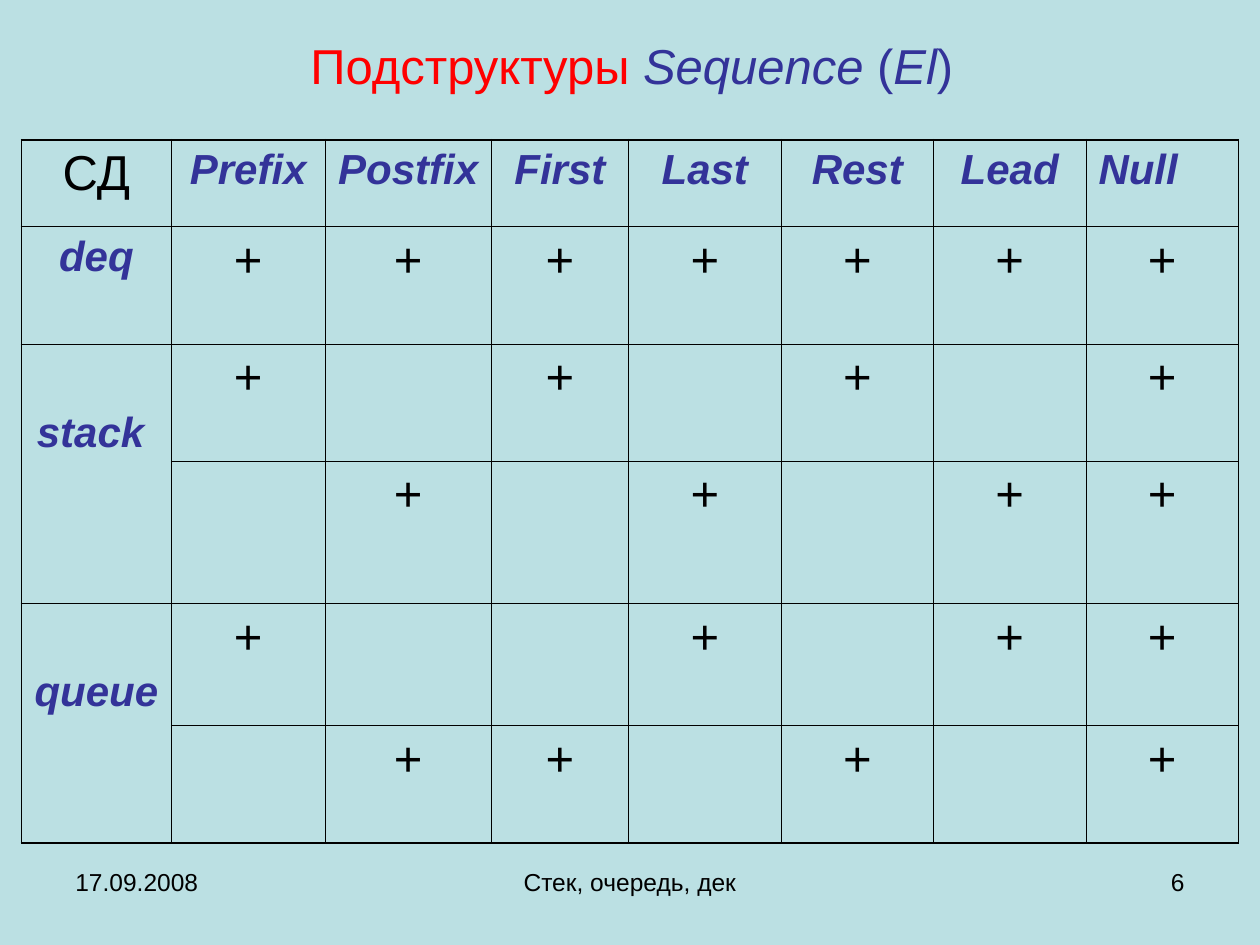
from dataclasses import dataclass

from lxml.etree import SubElement
from pptx import Presentation
from pptx.dml.color import RGBColor
from pptx.enum.text import MSO_ANCHOR, PP_ALIGN
from pptx.oxml.ns import qn
from pptx.util import Inches, Pt


@dataclass(frozen=True)
class Theme:
    font: str = "Arial"
    background: str = "BBE0E3"
    ink: str = "000000"
    accent: str = "333399"
    heading: str = "FF0000"
    large: int = 28
    label: int = 24
    small: int = 14
    outer_line: float = 1.08
    inner_line: float = 0.45


THEME = Theme()

HEADERS = ["СД", "Prefix", "Postfix", "First", "Last", "Rest", "Lead", "Null"]
STRUCTURES = [
    ("deq", ["+++++++"]),
    ("stack ", ["+ + + +", " + + ++"]),
    ("queue", ["+  + ++", " ++ + +"]),
]
COLUMN_WIDTHS = [1.19, 1.22, 1.32, 1.09] + [1.21] * 4
ROW_HEIGHTS = [0.69, 0.93, 0.93, 1.13, 0.97, 0.93]


def add_text(paragraph, text, size=THEME.large, color=THEME.ink, bold=False,
             italic=False, align=PP_ALIGN.CENTER):
    paragraph.alignment = align
    run = paragraph.add_run()
    run.text = text
    run.font.name = THEME.font
    run.font.size = Pt(size)
    run.font.bold = bold
    run.font.italic = italic
    run.font.color.rgb = RGBColor.from_string(color)


def add_label(cell, text, align=PP_ALIGN.CENTER):
    add_text(cell.text_frame.paragraphs[0], text, size=THEME.label,
             color=THEME.accent, bold=True, italic=True, align=align)


def set_borders(cell, outer_sides):
    properties = cell._tc.get_or_add_tcPr()
    for side in "LRTB":
        width = THEME.outer_line if side in outer_sides else THEME.inner_line
        line = SubElement(properties, qn(f"a:ln{side}"), w=str(Pt(width)))
        fill = SubElement(line, qn("a:solidFill"))
        SubElement(fill, qn("a:srgbClr"), val=THEME.ink)


def place_title(slide, left, top, width, height):
    title = slide.shapes.title
    title.left, title.top, title.width, title.height = left, top, width, height
    frame = title.text_frame
    frame.word_wrap = True
    frame.vertical_anchor = MSO_ANCHOR.MIDDLE
    heading = frame.paragraphs[0]
    add_text(heading, "Подструктуры ", color=THEME.heading)
    for text, italic in [("Sequence", True), ("\u00a0(", False), ("El", True), (")", False)]:
        add_text(heading, text, color=THEME.accent, italic=italic)


def format_grid(table):
    last_row, last_column = len(ROW_HEIGHTS) - 1, len(COLUMN_WIDTHS) - 1
    for row in range(last_row + 1):
        for column in range(last_column + 1):
            cell = table.cell(row, column)
            bottom_row = row + cell.span_height - 1
            edges = {"L": column == 0, "R": column == last_column,
                     "T": row == 0, "B": bottom_row == last_row}
            set_borders(cell, [side for side, outer in edges.items() if outer])
            cell.fill.background()


def place_operations(slide, left, top, width, height):
    table = slide.shapes.add_table(len(ROW_HEIGHTS), len(COLUMN_WIDTHS),
                                   left, top, width, height).table
    table.first_row = table.horz_banding = False
    for column, column_width in zip(table.columns, COLUMN_WIDTHS):
        column.width = Inches(column_width)
    for row, row_height in zip(table.rows, ROW_HEIGHTS):
        row.height = Inches(row_height)

    add_text(table.cell(0, 0).text_frame.paragraphs[0], HEADERS[0])
    for column, header in enumerate(HEADERS[1:], start=1):
        align = PP_ALIGN.LEFT if header == "Null" else PP_ALIGN.CENTER
        add_label(table.cell(0, column), header, align)

    row = 1
    for structure, variants in STRUCTURES:
        name_cell = table.cell(row, 0)
        if len(variants) > 1:
            name_cell.merge(table.cell(row + len(variants) - 1, 0))
            name_cell.margin_top = Inches(0.52)
        add_label(name_cell, structure)
        for marks in variants:
            for column, mark in enumerate(marks, start=1):
                if mark == "+":
                    add_text(table.cell(row, column).text_frame.paragraphs[0], mark)
            row += 1
    format_grid(table)


def place_footer(slide, left, top, width, height):
    side_width, middle_width = Inches(2.33), Inches(3.17)
    parts = [
        ("17.09.2008", left, side_width, PP_ALIGN.LEFT),
        ("Стек, очередь, дек", left + (width - middle_width) // 2, middle_width,
         PP_ALIGN.CENTER),
        ("6", left + width - side_width, side_width, PP_ALIGN.RIGHT),
    ]
    for text, part_left, part_width, align in parts:
        frame = slide.shapes.add_textbox(part_left, top, part_width, height).text_frame
        frame.word_wrap = True
        add_text(frame.paragraphs[0], text, size=THEME.small, align=align)


def main():
    presentation = Presentation()
    presentation.slide_width, presentation.slide_height = Inches(10), Inches(7.5)
    slide = presentation.slides.add_slide(presentation.slide_layouts[5])
    background = slide.background.fill
    background.solid()
    background.fore_color.rgb = RGBColor.from_string(THEME.background)

    place_operations(slide, Inches(0.17), Inches(1.11), Inches(9.67), Inches(5.6))
    place_title(slide, Inches(0.91), Inches(0.23), Inches(8.21), Inches(0.57))
    place_footer(slide, Inches(0.5), Inches(6.83), Inches(9), Inches(0.52))
    presentation.save("out.pptx")


if __name__ == "__main__":
    main()
